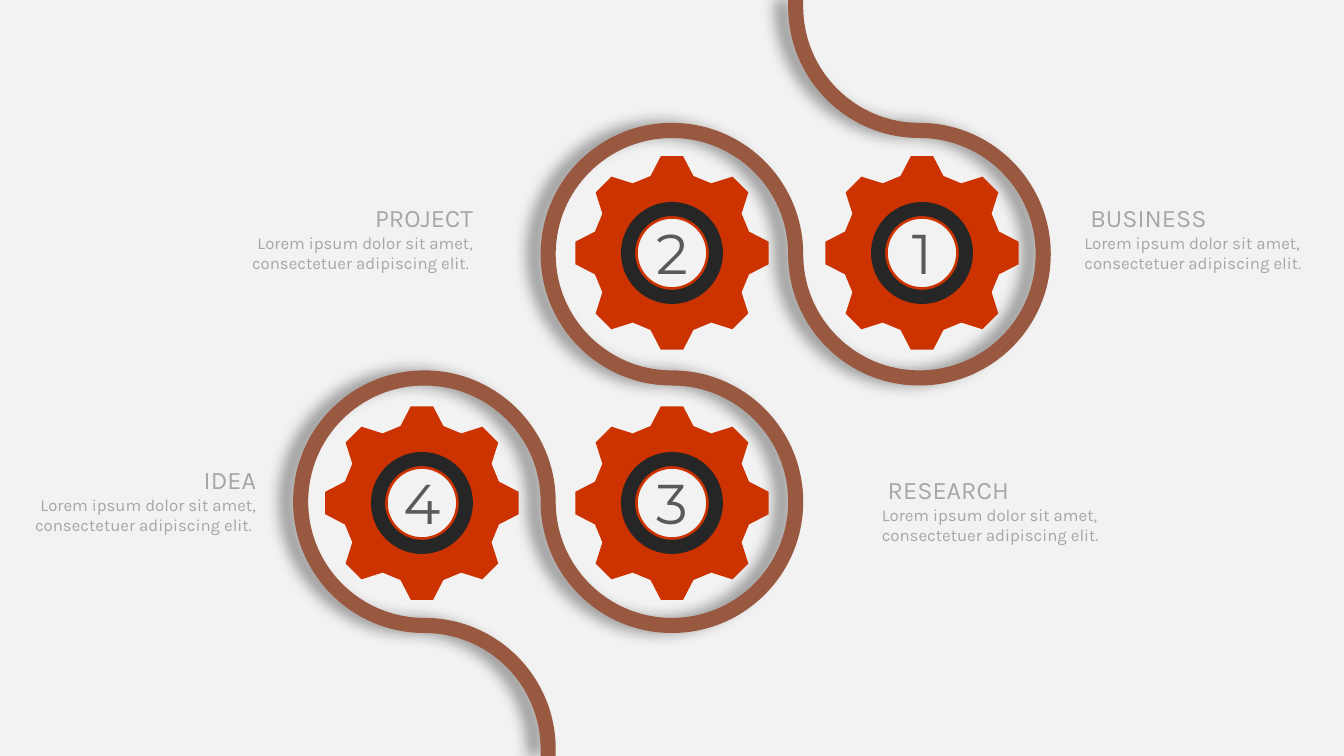
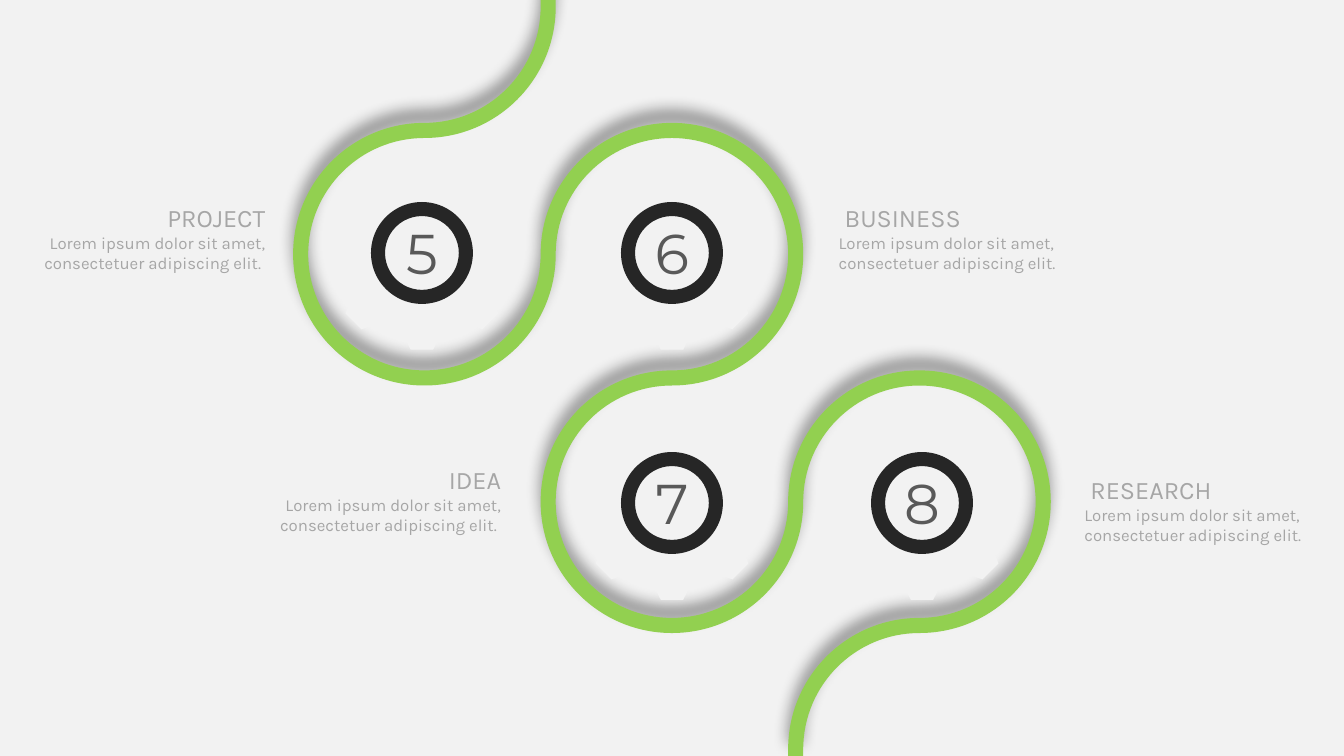
import math

import lxml.etree
import pptx
import pptx.dml.color
import pptx.enum.shapes
import pptx.enum.text
import pptx.oxml.ns
import pptx.util

Pt = pptx.util.Pt
RGBColor = pptx.dml.color.RGBColor
ALIGN = pptx.enum.text.PP_ALIGN
qn = pptx.oxml.ns.qn

# Shared look
BACKGROUND = RGBColor(0xF2, 0xF2, 0xF2)
RING = RGBColor(0x26, 0x26, 0x26)
LABEL = RGBColor(0xA6, 0xA6, 0xA6)
NUMBER = RGBColor(0x59, 0x59, 0x59)
BROWN = RGBColor(0x99, 0x59, 0x40)
RED = RGBColor(0xCC, 0x33, 0x00)
GREEN = RGBColor(0x92, 0xD0, 0x50)
LABEL_FONT, NUMBER_FONT = "Karla", "Montserrat"

# Content: labels are (heading, side of alignment, aligned edge, top)
BODY = "Lorem ipsum dolor sit amet, consectetuer adipiscing elit."
SLIDES = [
    dict(band=BROWN, gear=RED, mirror=1, shadow_angle=180, first=1, labels=[
        ("PROJECT", "right", 345, 141), ("IDEA", "right", 190, 328.3),
        (" BUSINESS", "left", 767.5, 141), (" RESEARCH", "left", 622.8, 335.5)]),
    dict(band=GREEN, gear=BACKGROUND, mirror=-1, shadow_angle=270, first=5, labels=[
        ("PROJECT", "right", 196.6, 141), ("IDEA", "right", 365, 328.3),
        (" BUSINESS", "left", 592, 141), (" RESEARCH", "left", 767.5, 335.5)]),
]

# Geometry
WIDTH, HEIGHT = 960, 540
LOOP_PITCH, GEAR_PITCH = 176.8, 178.6
BAND_WIDTH = 10.8
# Band arcs: column, row, start angle, sweep (clockwise, in degrees)
ARCS = [(1, -1.5, 180, -90), (1, -0.5, -90, 270), (0, -0.5, 0, -270),
        (0, 0.5, -90, 270), (-1, 0.5, 0, -270), (-1, 1.5, -90, 90)]
NODES = [(1, -0.5), (0, -0.5), (0, 0.5), (-1, 0.5)]
TOOTH = [(-15.3, -55), (-8, -69.1), (8, -69.1), (15.3, -55)]
HOLE_RADIUS, RING_SIZE = 24.4, 72.8
NUMBER_W, NUMBER_H = 63.4, 55.7
LABEL_W, LABEL_H = 175, 75
QUARTER = 0.5523  # handle length of a quarter circle of radius 1


def grid_point(col, row, pitch):
    return WIDTH / 2 + col * pitch, HEIGHT / 2 + row * pitch


def arc_points(cx, cy, radius, start, sweep):
    """Start point, then two handles and an end point per quarter turn."""
    turn = math.copysign(1, sweep)

    def at(degrees, handle):
        a = math.radians(degrees)
        c, n = math.cos(a), math.sin(a)
        return cx + radius * (c - handle * n), cy + radius * (n + handle * c)

    points = [at(start, 0)]
    for i in range(abs(sweep) // 90):
        a = start + turn * 90 * i
        b = a + turn * 90
        points += [at(a, turn * QUARTER), at(b, -turn * QUARTER), at(b, 0)]
    return points


def paint(shape, color):
    shape.fill.solid()
    shape.fill.fore_color.rgb = color
    shape.line.fill.background()
    shape.shadow.inherit = False


def bend(segments):
    """Turn each three line segments into one curve."""
    for i in range(0, len(segments), 3):
        curve = lxml.etree.Element(qn("a:cubicBezTo"))
        segments[i].addprevious(curve)
        for segment in segments[i:i + 3]:
            curve.append(segment[0])
            segment.getparent().remove(segment)


def add_outline(s, contours, color):
    """Each contour is a (points, curved) pair."""
    scaled = [[(Pt(x), Pt(y)) for x, y in points] for points, curved in contours]
    builder = s.shapes.build_freeform(*scaled[0][0])
    for i, points in enumerate(scaled):
        if i:
            builder.move_to(*points[0])
        builder.add_line_segments(points[1:], close=True)
    shape = builder.convert_to_shape()
    steps = list(next(shape._element.iter(qn("a:path"))))
    for points, curved in contours:
        own = [steps.pop(0)]
        while own[-1].tag != qn("a:close"):
            own.append(steps.pop(0))
        if curved:
            bend(own[1:-1])
    paint(shape, color)
    return shape


def add_shadow(shape, angle):
    effects = shape._element.spPr.find(qn("a:effectLst"))
    shadow = lxml.etree.SubElement(
        effects, qn("a:outerShdw"), blurRad=str(Pt(10)), dist=str(Pt(9)),
        dir=str(angle * 60000), algn="ctr", rotWithShape="0")
    color = lxml.etree.SubElement(shadow, qn("a:srgbClr"), val="000000")
    lxml.etree.SubElement(color, qn("a:alpha"), val="40000")


def band_edge(side, mirror):
    points = []
    for col, row, start, sweep in ARCS:
        cx, cy = grid_point(col, row, LOOP_PITCH)
        radius = LOOP_PITCH / 2 + side * math.copysign(BAND_WIDTH / 2, sweep)
        arc = arc_points(cx, cy, radius, start, sweep)
        points += arc[1:] if points else arc
    # Straight ends, up to the slide's top and bottom
    first, last = points[0], points[-1]
    top, bottom = (first[0], 0), (last[0], HEIGHT)
    points = [top, top, first, *points, last, bottom, bottom]
    return [(WIDTH / 2 + mirror * (x - WIDTH / 2), y) for x, y in points]


def add_band(s, color, mirror, angle):
    down, up = band_edge(1, mirror), band_edge(-1, mirror)[::-1]
    outline = [*down, down[-1], up[0], *up]
    add_shadow(add_outline(s, [(outline, True)], color), angle)


def add_gear(s, cx, cy, color):
    teeth = []
    for i in range(8):
        c, n = math.cos(i * math.pi / 4), math.sin(i * math.pi / 4)
        teeth += [(cx + x * c - y * n, cy + x * n + y * c) for x, y in TOOTH]
    hole = arc_points(cx, cy, HOLE_RADIUS, 0, -360)
    add_outline(s, [(teeth, False), (hole, True)], color)


def add_ring(s, cx, cy):
    ring = s.shapes.add_shape(
        pptx.enum.shapes.MSO_SHAPE.DONUT, Pt(cx - RING_SIZE / 2),
        Pt(cy - RING_SIZE / 2), Pt(RING_SIZE), Pt(RING_SIZE))
    ring.adjustments[0] = 0.138
    paint(ring, RING)


def add_text(s, x, y, w, h, lines, align, font, color):
    """Each line is a (text, size) pair."""
    tf = s.shapes.add_textbox(Pt(x), Pt(y), Pt(w), Pt(h)).text_frame
    tf.word_wrap = True
    tf.auto_size = pptx.enum.text.MSO_AUTO_SIZE.SHAPE_TO_FIT_TEXT
    tf.text = "\n".join(text for text, size in lines)
    for p, (text, size) in zip(tf.paragraphs, lines):
        p.alignment = align
        for r in p.runs:
            r.font.name = font
            r.font.size = Pt(size)
            r.font.color.rgb = color


def add_label(s, heading, side, edge, top):
    right = side == "right"
    body = BODY + " " if right else BODY
    add_text(s, edge - LABEL_W if right else edge, top, LABEL_W, LABEL_H,
             [(heading, 18), (body, 12)],
             ALIGN.RIGHT if right else ALIGN.LEFT, LABEL_FONT, LABEL)


def build_slide(prs, content):
    s = prs.slides.add_slide(prs.slide_layouts[6])
    mirror = content["mirror"]
    add_band(s, content["band"], mirror, content["shadow_angle"])
    centres = [grid_point(mirror * col, row, GEAR_PITCH) for col, row in NODES]
    for cx, cy in centres:
        add_gear(s, cx, cy, content["gear"])
        add_ring(s, cx, cy)
    for label in content["labels"]:
        add_label(s, *label)
    for number, (cx, cy) in enumerate(centres, content["first"]):
        add_text(s, cx - NUMBER_W / 2, cy - NUMBER_H / 2, NUMBER_W, NUMBER_H,
                 [(str(number), 40)], ALIGN.CENTER, NUMBER_FONT, NUMBER)


def main():
    prs = pptx.Presentation()
    prs.slide_width, prs.slide_height = Pt(WIDTH), Pt(HEIGHT)
    fill = prs.slide_master.background.fill
    fill.solid()
    fill.fore_color.rgb = BACKGROUND
    for content in SLIDES:
        build_slide(prs, content)
    prs.save("out.pptx")


if __name__ == "__main__":
    main()
